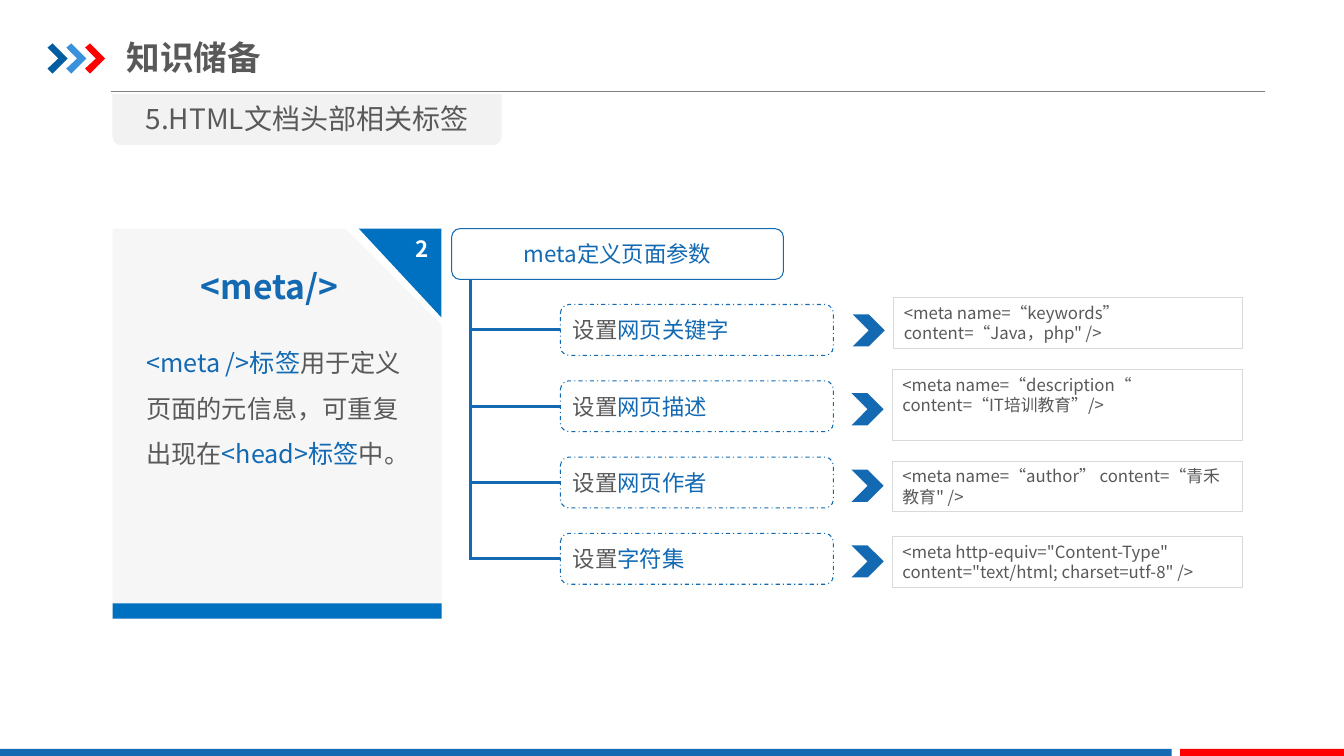
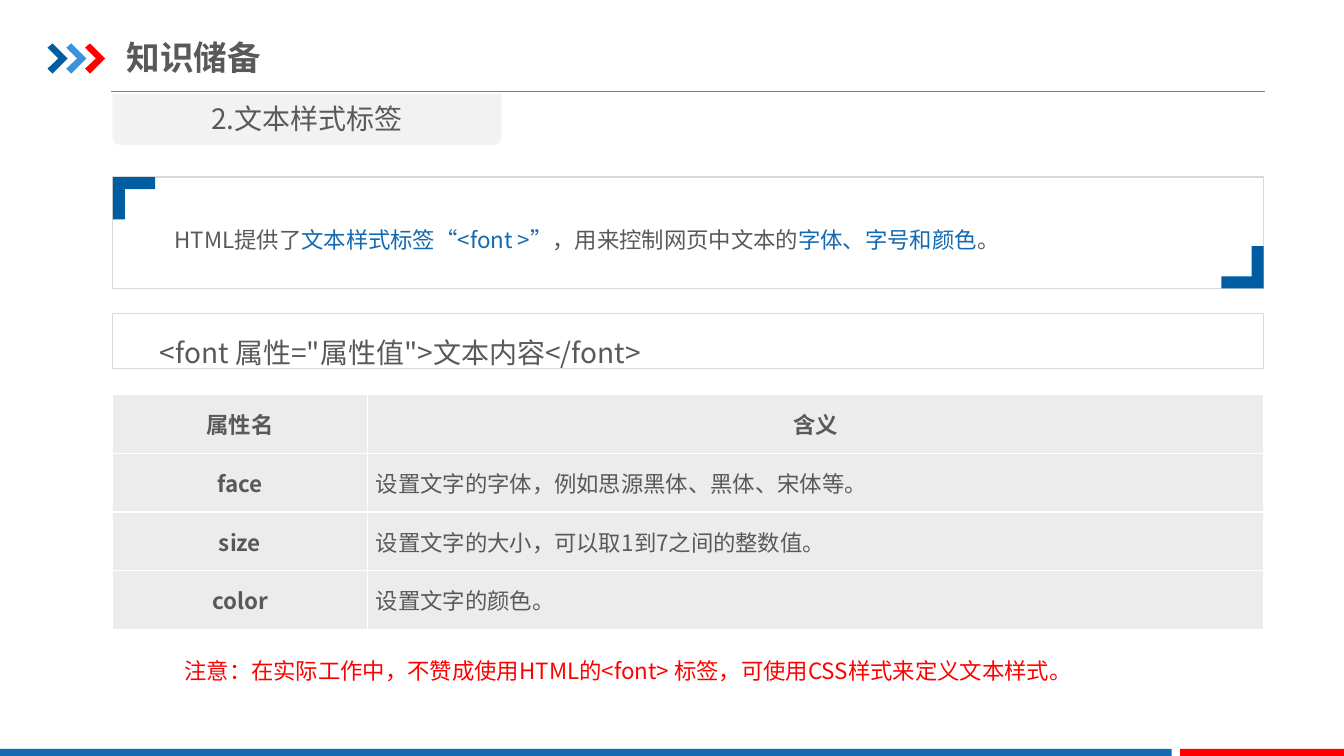
from dataclasses import dataclass

import pptx
import pptx.dml.color
import pptx.enum.dml
import pptx.enum.shapes
import pptx.enum.text
import pptx.oxml.ns
import pptx.util
from lxml import etree

Pt = pptx.util.Pt
SHAPE = pptx.enum.shapes.MSO_SHAPE
ALIGN = pptx.enum.text.PP_ALIGN
ANCHOR = pptx.enum.text.MSO_ANCHOR
DASH = pptx.enum.dml.MSO_LINE
qn = pptx.oxml.ns.qn


@dataclass(frozen=True)
class Theme:
    font: str = "Noto Sans CJK SC"
    ink: str = "595959"
    blue: str = "1369B2"
    deep_blue: str = "005DA2"
    light_blue: str = "3992DB"
    card_blue: str = "0070C0"
    red: str = "FF0000"
    white: str = "FFFFFF"
    rule: str = "808080"
    border: str = "D9D9D9"
    tab: str = "F2F2F2"
    card: str = "F6F6F6"
    cell: str = "ECECEC"
    title_size: int = 24
    tab_size: int = 20
    lead_size: int = 18
    body_size: int = 16
    code_size: int = 12


THEME = Theme()
INSETS = (7.2, 3.6, 7.2, 3.6)


def rgb(value):
    return pptx.dml.color.RGBColor.from_string(value)


def write(frame, text, *, size=THEME.body_size, color=THEME.ink, bold=False,
          align=ALIGN.LEFT, anchor=None, insets=None, spacing=1.0):
    """Fill a frame with a string or a list of (text, colour) runs."""
    if insets:
        frame.word_wrap = True
        frame.auto_size = pptx.enum.text.MSO_AUTO_SIZE.NONE
        (frame.margin_left, frame.margin_top,
         frame.margin_right, frame.margin_bottom) = map(Pt, insets)
    if anchor is not None:
        frame.vertical_anchor = anchor
    paragraph = frame.paragraphs[0]
    properties = paragraph._p.get_or_add_pPr()
    properties.set("marL", "0")
    properties.set("indent", "0")
    etree.SubElement(properties, qn("a:buNone"))
    paragraph.alignment = align
    paragraph.line_spacing = spacing
    paragraph.space_before = Pt(0)
    for words, run_color in [(text, color)] if isinstance(text, str) else text:
        run = paragraph.add_run()
        run.text = words
        run.font.size = Pt(size)
        run.font.bold = bold
        run.font.color.rgb = rgb(run_color)
        run.font.name = THEME.font
        east_asian = etree.SubElement(run._r.get_or_add_rPr(), qn("a:ea"))
        east_asian.set("typeface", THEME.font)


class Deck:
    def __init__(self):
        self.presentation = pptx.Presentation()
        self.presentation.slide_width = Pt(960)
        self.presentation.slide_height = Pt(540)
        self.slide = None

    def new_slide(self, title, section):
        layout = self.presentation.slide_layouts[1]
        self.slide = self.presentation.slides.add_slide(layout)
        self.placeholder(0, (90.3, 21, 307, 40), title, size=THEME.title_size,
                         bold=True, anchor=ANCHOR.MIDDLE, insets=(0, 5, 0, 5))
        # Header rule and arrows
        self.line((79.2, 65.5), (903.3, 65.5), THEME.rule, 0.75)
        arrow = [(0, 3), (3.6, 0), (14.4, 10.8), (3.6, 21.6), (0, 18), (7.7, 10.8)]
        for i, color in enumerate((THEME.deep_blue, THEME.light_blue, THEME.red)):
            self.outline([(34 + 13.4 * i + x, 31 + y) for x, y in arrow], color)
        # Footer bands
        self.shape((0, 535, 837, 5), fill=THEME.blue)
        self.shape((843, 535, 117, 5), fill=THEME.red)
        # Section tab, rounded at the bottom only
        tab = self.shape((80.3, 67, 278, 36.7), SHAPE.ROUND_2_SAME_RECTANGLE,
                         fill=THEME.tab, adjust=(0, 0.167))
        write(tab.text_frame, section, size=THEME.tab_size, align=ALIGN.CENTER,
              anchor=ANCHOR.MIDDLE, insets=INSETS)

    def placeholder(self, index, place, text, **style):
        holder = self.slide.placeholders[index]
        holder.left, holder.top, holder.width, holder.height = map(Pt, place)
        write(holder.text_frame, text, **style)
        # Bring to the front of what is drawn so far
        self.slide.shapes.element.append(holder.element)

    def paint(self, shape, fill=None, line=None, width=0.75, dash=None):
        shape.shadow.inherit = False
        if fill:
            shape.fill.solid()
            shape.fill.fore_color.rgb = rgb(fill)
        else:
            shape.fill.background()
        if line:
            shape.line.color.rgb = rgb(line)
            shape.line.width = Pt(width)
            if dash:
                shape.line.dash_style = dash
        else:
            shape.line.fill.background()
        return shape

    def shape(self, place, kind=SHAPE.RECTANGLE, adjust=(), **look):
        shape = self.slide.shapes.add_shape(kind, *map(Pt, place))
        for i, value in enumerate(adjust):
            shape.adjustments[i] = value
        return self.paint(shape, **look)

    def outline(self, points, fill):
        corners = [(Pt(x), Pt(y)) for x, y in points]
        builder = self.slide.shapes.build_freeform(*corners[0], scale=1.0)
        builder.add_line_segments(corners[1:], close=True)
        return self.paint(builder.convert_to_shape(), fill=fill)

    def line(self, start, end, color, width):
        line = self.slide.shapes.add_connector(
            pptx.enum.shapes.MSO_CONNECTOR.STRAIGHT, *map(Pt, start + end))
        line.line.color.rgb = rgb(color)
        line.line.width = Pt(width)
        etree.SubElement(line.element.spPr, qn("a:effectLst"))
        return line

    def text(self, place, text, **style):
        box = self.slide.shapes.add_textbox(*map(Pt, place))
        write(box.text_frame, text, **{"insets": INSETS, **style})

    def code(self, place, text, insets=INSETS, **style):
        box = self.shape(place, fill=THEME.white, line=THEME.border)
        write(box.text_frame, text, anchor=ANCHOR.TOP, insets=insets, **style)

    def table(self, left, top, widths, row_height, rows):
        table = self.slide.shapes.add_table(
            len(rows), len(widths), Pt(left), Pt(top),
            Pt(sum(widths)), Pt(row_height * len(rows))).table
        for column, width in zip(table.columns, widths):
            column.width = Pt(width)
        for r, row in enumerate(rows):
            table.rows[r].height = Pt(row_height)
            for c, words in enumerate(row):
                cell = table.cell(r, c)
                cell.margin_left = cell.margin_right = Pt(6)
                cell.margin_top = cell.margin_bottom = 0
                cell.vertical_anchor = ANCHOR.MIDDLE
                self.cell_borders(cell)
                cell.fill.solid()
                cell.fill.fore_color.rgb = rgb(THEME.cell)
                heading = r == 0 or c == 0
                write(cell.text_frame, words, bold=heading,
                      align=ALIGN.CENTER if heading else ALIGN.LEFT)

    def cell_borders(self, cell):
        properties = cell._tc.get_or_add_tcPr()
        for side in ("a:lnL", "a:lnR", "a:lnT", "a:lnB"):
            border = etree.SubElement(properties, qn(side), w=str(Pt(1)))
            fill = etree.SubElement(border, qn("a:solidFill"))
            etree.SubElement(fill, qn("a:srgbClr"), val=THEME.white)


def meta_slide(deck):
    deck.new_slide("知识储备", "5.HTML文档头部相关标签")

    # Tag card with its numbered corner
    left, top, width, right = 80.5, 163.3, 235, 315.3
    deck.shape((left, top, width, 278.5), SHAPE.SNIP_1_RECTANGLE,
               fill=THEME.card, adjust=(0.294,))
    deck.shape((left, 431, width, 11), fill=THEME.card_blue)
    corner = deck.outline([(right, top), (256.3, top), (right, 226.7)], THEME.card_blue)
    write(corner.text_frame, "2", color=THEME.white, bold=True, align=ALIGN.RIGHT,
          anchor=ANCHOR.TOP, insets=(9.4, 5, 9.4, 5))
    deck.placeholder(1, (97.3, 233.8, 208, 105), [
        ("<meta />标签", THEME.blue), ("用于定义页面的元信息，可重复出现在", THEME.ink),
        ("<head>标签", THEME.blue), ("中。", THEME.ink)],
        size=THEME.lead_size, spacing=1.5, anchor=ANCHOR.TOP, insets=INSETS)
    deck.text((106, 186.5, 173, 36), "<meta/>", size=THEME.title_size,
              color=THEME.blue, bold=True, align=ALIGN.CENTER)

    # Tree root and trunk
    box_height, trunk_x, first_top, pitch = 36.3, 335.8, 217.5, 54.5
    root = deck.shape((322.6, top, 237, box_height), SHAPE.ROUNDED_RECTANGLE,
                      line=THEME.blue)
    write(root.text_frame, "meta定义页面参数", color=THEME.blue, align=ALIGN.CENTER,
          anchor=ANCHOR.MIDDLE, insets=INSETS)
    trunk_end = first_top + 3 * pitch + box_height / 2
    deck.line((trunk_x, top + box_height), (trunk_x, trunk_end + 1), THEME.blue, 2.25)

    # Branches: setting, chevron (left, top), code box (left, top, height), code
    branches = [
        ("网页关键字", (609, 224.5), (638.5, 212.4, 36.3),
         '<meta name=“keywords” content=“Java，php" />'),
        ("网页描述", (608.2, 280.8), (637.5, 264, 51),
         '<meta name=“description“ content=“IT培训教育”/>'),
        ("网页作者", (608.2, 335.5), (637.5, 329.4, 36.3),
         '<meta name=“author” content=“青禾教育" />'),
        ("字符集", (608.2, 389.5), (637.5, 383.2, 36.3),
         '<meta http-equiv="Content-Type" content="text/html; charset=utf-8" />'),
    ]
    for i, (setting, chevron, (code_left, code_top, code_height), code) in enumerate(branches):
        box_top = first_top + i * pitch
        middle = box_top + box_height / 2
        box = deck.shape((400.3, box_top, 195, box_height), SHAPE.ROUNDED_RECTANGLE,
                         line=THEME.blue, dash=DASH.DASH_DOT)
        write(box.text_frame, [("设置", THEME.ink), (setting, THEME.blue)],
              anchor=ANCHOR.MIDDLE, insets=INSETS)
        branch = deck.line((trunk_x, middle), (400.3, middle), THEME.blue, 2.25)
        branch.end_connect(box, 1)
        deck.code((code_left, code_top, 887.3 - code_left, code_height), code,
                  size=THEME.code_size)
        deck.shape((*chevron, 23, 23), SHAPE.CHEVRON, fill=THEME.blue)


def font_slide(deck):
    deck.new_slide("知识储备", "2.文本样式标签")
    left, width = 80.3, 822.3

    # Framed introduction with two corner brackets
    top, height = 126.5, 79.5
    deck.shape((left, top, width, height), line=THEME.border, width=1)
    deck.placeholder(1, (124.6, 152, 746.5, 26), [
        ("HTML提供了", THEME.ink), ("文本样式标签“<font >”", THEME.blue),
        ("，用来控制网页中文本的", THEME.ink), ("字体、字号和颜色", THEME.blue),
        ("。", THEME.ink)], spacing=1.5, anchor=ANCHOR.TOP, insets=(0, 0, 0, 0))
    arm, thick = 30.2, 8.6
    bracket = [(0, 0), (arm, 0), (arm, thick), (thick, thick), (thick, arm), (0, arm)]
    for x, y, way in ((left + 0.3, top, 1), (left + width, top + height, -1)):
        deck.outline([(x + way * dx, y + way * dy) for dx, dy in bracket],
                     THEME.deep_blue)

    # Syntax
    deck.code((left, 224, width, 39.5), '<font 属性="属性值">文本内容</font>',
              size=THEME.tab_size, spacing=1.5, insets=(33.8, 3.6, 7.2, 3.6))

    # Attributes
    deck.table(left, 281.7, (182.2, 640.1), 42, [
        ("属性名", "含义"),
        ("face", "设置文字的字体，例如思源黑体、黑体、宋体等。"),
        ("size", "设置文字的大小，可以取1到7之间的整数值。"),
        ("color", "设置文字的颜色。"),
    ])

    # Warning
    deck.text((124.6, 456.5, 721.5, 33),
              "注意：在实际工作中，不赞成使用HTML的<font> 标签，可使用CSS样式来定义文本样式。",
              color=THEME.red, spacing=1.5)


def main():
    deck = Deck()
    meta_slide(deck)
    font_slide(deck)
    deck.presentation.save("out.pptx")


if __name__ == "__main__":
    main()
